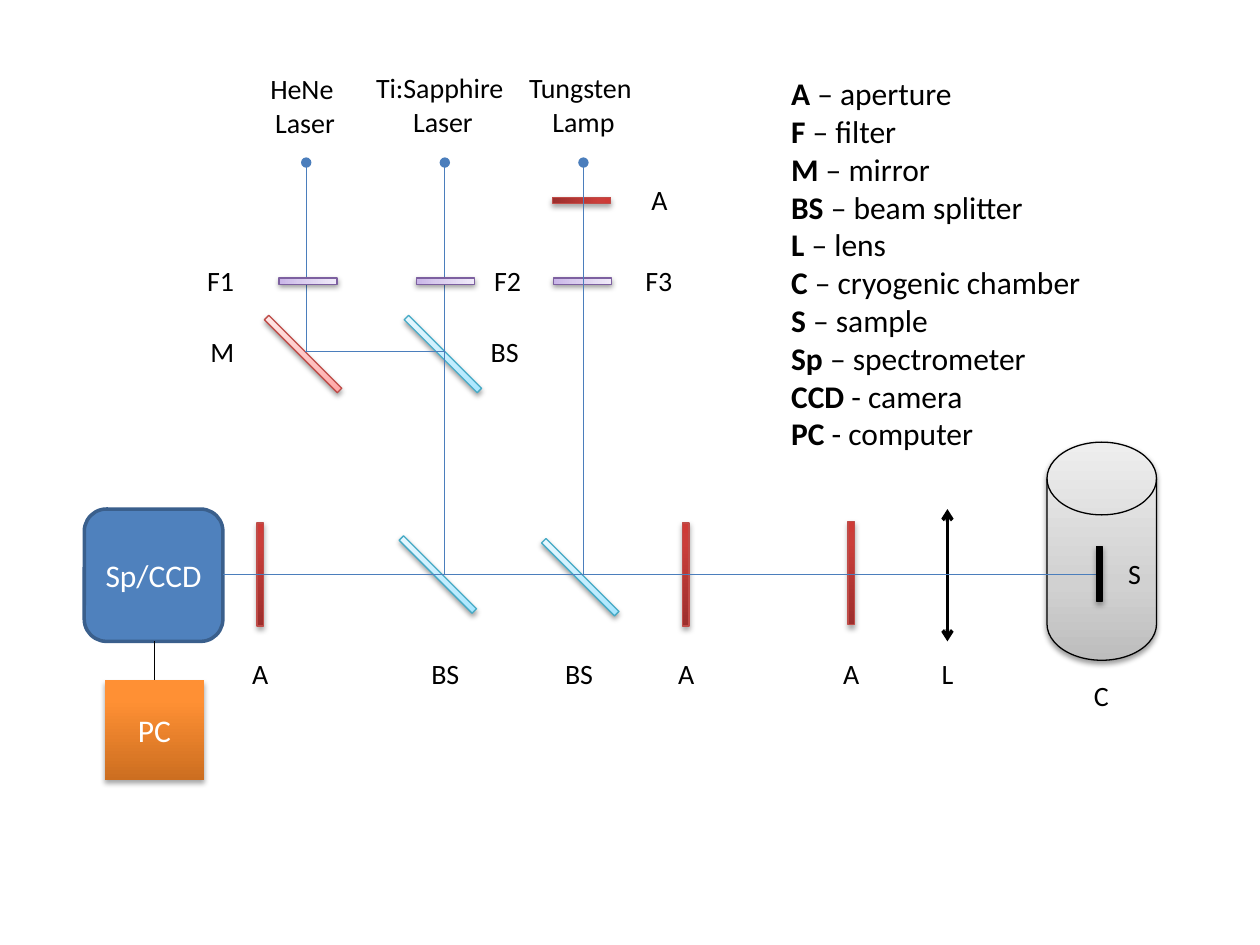
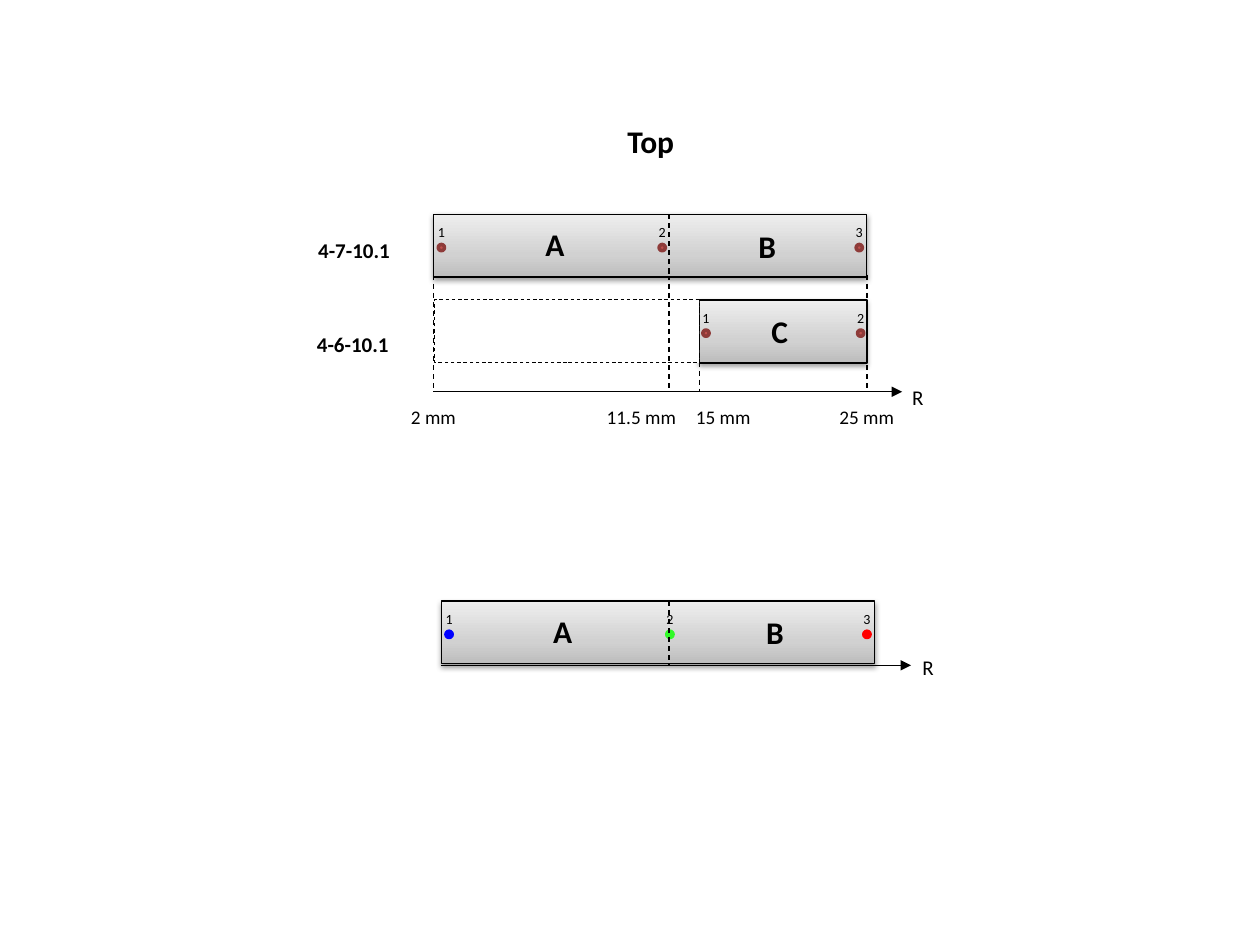
import pptx
import pptx.dml.color
import pptx.enum.dml
import pptx.enum.shapes
import pptx.enum.text
import pptx.oxml.ns
import pptx.util
from lxml import etree

Pt = pptx.util.Pt
qn = pptx.oxml.ns.qn
rgb = pptx.dml.color.RGBColor.from_string
MSO = pptx.enum.shapes.MSO_SHAPE
RECT, OVAL = MSO.RECTANGLE, MSO.OVAL

BLACK, WHITE, BEAM = "000000", "FFFFFF", "4B7EBC"
GREY = [(0, "BDBDBD"), (35, "D1D1D1"), (100, "EEEEEE")]
RED = [(0, "9C2F2D"), (80, "CB3E3A"), (100, "CE3B37")]
ORANGE = [(0, "CC6E20"), (80, "FF9034"), (100, "FF9136")]
CYAN = [(0, "A7E6FF"), (35, "C1EDFF"), (100, "E7F8FF")]
PINK = [(0, "FFA6A5"), (35, "FFC0BF"), (100, "FFE7E7")]
VIOLET = [(0, "C9B5E8"), (35, "D8CBEE"), (100, "F0EAF9")]
STRONG, SOFT = (35, 1.8), (38, 1.6)  # shadow opacity in percent, distance in points

# fill, line colour, line width, shadow
STYLES = {
    "spectrometer": ("4F81BD", "3A5F8C", 2, None),
    "computer": (ORANGE, None, 0, STRONG),
    "aperture": (RED, "BF4C48", 0.75, STRONG),
    "splitter": (CYAN, "46AAC5", 0.75, SOFT),
    "mirror": (PINK, "BF4C48", 0.75, SOFT),
    "filter": (VIOLET, "7D60A0", 0.75, SOFT),
    "grey": (GREY, BLACK, 0.75, SOFT),
    "sample": (BLACK, BLACK, 0.75, STRONG),
    "empty": (WHITE, BLACK, 0.5, None),
    "dot": ("C0504D", "8E3B39", 2, None),
    "blue": ("0000FF", "0000FF", 2, None),
    "green": ("31F927", "31F927", 2, None),
    "red": ("FF0000", "FF0000", 2, None),
}


def box(s, x, y, w, h, kind=None, style=None, text="", size=16, bold=False,
        color=BLACK, spaced=False, shadow=None):
    """Add a styled shape, or a text box if kind is None; spaced text wraps."""
    at = [Pt(v) for v in (x, y, w, h)]
    if kind is None:
        sp = s.shapes.add_textbox(*at)
        sp.text_frame.word_wrap = spaced
        if not spaced:
            sp.text_frame.auto_size = pptx.enum.text.MSO_AUTO_SIZE.SHAPE_TO_FIT_TEXT
    else:
        sp = s.shapes.add_shape(kind, *at)
        fill, line, width, shadow = STYLES[style]
        if isinstance(fill, str):
            sp.fill.solid()
            sp.fill.fore_color.rgb = rgb(fill)
        else:
            sp.fill.gradient()
            sp.fill.gradient_angle = 90
            stops = sp._element.spPr.find(".//" + qn("a:gsLst"))
            for gs in list(stops):
                stops.remove(gs)
            for pos, stop in fill:
                gs = etree.SubElement(stops, qn("a:gs"), pos=str(pos * 1000))
                etree.SubElement(gs, qn("a:srgbClr"), val=stop)
        if line:
            sp.line.color.rgb = rgb(line)
            sp.line.width = Pt(width)
        else:
            sp.line.fill.background()
        sp.shadow.inherit = False
        if shadow:
            alpha, dist = shadow
            effects = sp._element.spPr.find(qn("a:effectLst"))
            outer = etree.SubElement(effects, qn("a:outerShdw"), blurRad=str(Pt(3.1)),
                                     dist=str(Pt(dist)), dir="5400000", rotWithShape="0")
            clr = etree.SubElement(outer, qn("a:srgbClr"), val=BLACK)
            etree.SubElement(clr, qn("a:alpha"), val=str(alpha * 1000))
    if text:
        para = {"alignment": pptx.enum.text.PP_ALIGN.CENTER}
        if spaced:
            para.update(line_spacing=1.15, space_after=Pt(10))
        tf = sp.text_frame
        tf.text = text
        for p in tf.paragraphs:
            for k, v in para.items():
                setattr(p, k, v)
            for r in p.runs:
                for k, v in {"name": "Calibri", "size": Pt(size), "bold": bold}.items():
                    setattr(r.font, k, v)
                r.font.color.rgb = rgb(color)
    return sp


def line(s, x1, y1, x2, y2, color=BLACK, width=0.75, dash=False, head=None, tail=None):
    sp = s.shapes.add_connector(pptx.enum.shapes.MSO_CONNECTOR.STRAIGHT,
                                Pt(x1), Pt(y1), Pt(x2), Pt(y2))
    sp.line.color.rgb = rgb(color)
    sp.line.width = Pt(width)
    if dash:
        sp.line.dash_style = pptx.enum.dml.MSO_LINE.DASH
    ln = sp.line._get_or_add_ln()
    for tag, end in (("a:headEnd", head), ("a:tailEnd", tail)):
        if end:
            etree.SubElement(ln, qn(tag), type=end)
    etree.SubElement(sp._element.spPr, qn("a:effectLst"))


prs = pptx.Presentation()
prs.slide_width, prs.slide_height = Pt(720), Pt(540)

# Slide 1: optical setup
s = prs.slides.add_slide(prs.slide_layouts[6])
box(s, 48.2, 290.9, 79.2, 75.6, MSO.ROUNDED_RECTANGLE, "spectrometer", "Sp/CCD", 18, color=WHITE)
line(s, 541.4, 290.9, 541.4, 366.5, width=2, head="arrow", tail="arrow")
box(s, 598.3, 252.7, 62.6, 124.6, MSO.FLOWCHART_MAGNETIC_DISK, "grey")

# Thin optics by centre, length and rotation; the last two lie above the beams
optics = [
    ("aperture", 148.7, 328.3, 59, 0),
    ("aperture", 392, 328.3, 59, 0),
    ("aperture", 486.4, 327.6, 59, 0),
    ("splitter", 250.2, 328.3, 59, 315),
    ("splitter", 331.6, 329.8, 59, 315),
    ("splitter", 253.1, 202.3, 59, 315),
    ("mirror", 173.2, 202.3, 59, 315),
    ("aperture", 332.3, 114.5, 33.1, 90),
    ("filter", 333, 160.6, 33.1, 90),
    ("filter", 176, 160.6, 33.1, 90),
    ("filter", 254.5, 160.6, 33.1, 90),
]
beams = [
    (254.2, 92.9, 254.2, 328.3, "oval"),
    (127.4, 328.3, 626.4, 328.3, None),
    (175, 92.9, 175, 200.9, "oval"),
    (174.5, 200.9, 254.2, 200.9, None),
    (333.4, 92.9, 333.4, 328.3, "oval"),
]
for i, (style, cx, cy, length, angle) in enumerate(optics):
    if i == len(optics) - 2:
        for *ends, head in beams:
            line(s, *ends, color=BEAM, head=head)
    sp = box(s, cx - 1.8, cy - length / 2, 3.6, length, RECT, style)
    sp.rotation = angle
box(s, 626.4, 312.5, 3.6, 31, RECT, "sample")
box(s, 59.8, 388.8, 56.9, 56.9, RECT, "computer", "PC", 18, color=WHITE)
line(s, 88.2, 366.5, 88.2, 388.8)

sources = [("HeNe\n Laser", 146.2, 37.4, 52.6), ("Ti:Sapphire \nLaser", 207.4, 36.7, 91.4),
           ("Tungsten \nLamp", 294.5, 36.7, 77.8)]
for text, x, y, w in sources:
    box(s, x, y, w, 46, text=text)

labels = [
    ("A", 136.8, 371.5, 23.8), ("BS", 239, 371.5, 31), ("BS", 315.4, 371.5, 31),
    ("A", 380.2, 371.5, 23.8), ("A", 474.5, 371.5, 23.8), ("L", 530.6, 371.5, 21.6),
    ("C", 617.8, 384.5, 23), ("S", 637.2, 314.6, 22.3), ("A", 365, 100.8, 23.8),
    ("F1", 110.9, 146.9, 30.2), ("F2", 275, 146.9, 30.2), ("F3", 361.4, 146.9, 30.2),
    ("M", 113, 187.9, 28.1), ("BS", 272.9, 187.9, 31),
]
for text, x, y, w in labels:
    box(s, x, y, w, 26.6, text=text)

legend = {"A": " – aperture", "F": " – filter", "M": " – mirror", "BS": " – beam splitter",
          "L": " – lens", "C": " – cryogenic chamber", "S": " – sample",
          "Sp": " – spectrometer", "CCD": " - camera", "PC": " - computer"}
sp = box(s, 445, 38.9, 182.2, 225.4, text="\n".join(legend), size=18, bold=True)
for p, meaning in zip(sp.text_frame.paragraphs, legend.values()):
    p.alignment = pptx.enum.text.PP_ALIGN.LEFT
    r = p.add_run()
    r.text = meaning
    for k, v in {"name": "Calibri", "size": Pt(18), "bold": False}.items():
        setattr(r.font, k, v)
    r.font.color.rgb = rgb(BLACK)

# Slide 2: sample strips along the radius
s = prs.slides.add_slide(prs.slide_layouts[6])
box(s, 351.4, 66.2, 41, 28.8, text="Top", size=18, bold=True)
box(s, 399.6, 171.4, 95.8, 36, RECT, "grey")
line(s, 247.7, 223.9, 515.5, 223.9, tail="triangle")
for x in (247.7, 495.4):
    line(s, x, 157, x, 223.9, dash=True)
sp = box(s, 248.4, 171.4, 151.2, 36, RECT, "empty")
sp.line.dash_style = pptx.enum.dml.MSO_LINE.DASH
line(s, 382.3, 157, 382.3, 223.9, dash=True)
line(s, 399.6, 175.7, 399.6, 223.9, dash=True)
box(s, 433.4, 175, 24.5, 28.8, text="C", size=18, bold=True)
for number, x in (("1", 403.4), ("2", 491.8)):
    box(s, x - 15.1, 172.1, 30.2, 15.8, text=number, size=8, spaced=True)
    box(s, x - 1.8, 188.6, 3.6, 3.6, OVAL, "dot")

# The two A/B strips differ in offset and dot colours
lower = s.shapes.add_group_shape()
for parent, dx, dy, dots in ((s, 0, 0, ["dot"] * 3), (lower, 4.4, 221, ["blue", "green", "red"])):
    box(parent, 247.7 + dx, 122.4 + dy, 247.7, 36, RECT, "grey")
    for i, (x, style) in enumerate(zip((252.2, 378.4, 491), dots), 1):
        box(parent, x - 1.8 + dx, 139.7 + dy, 3.6, 3.6, OVAL, style)
        box(parent, x - 15.1 + dx, 122.9 + dy, 30.2, 15.8, text=str(i), size=8, spaced=True)
    line(parent, 382.3, 122.4 + dy, 382.3, 159 + dy, dash=True)
    for letter, x, y in (("A", 304.6, 125.3), ("B", 426, 126)):
        box(parent, x + dx, y + dy, 25, 28.8, text=letter, size=18, bold=True)
line(lower, 252, 380.2, 520.6, 380.2, tail="triangle")

for parent, x, y in ((s, 507.6, 213.8), (lower, 513.4, 368.6)):
    box(parent, x, y, 33.8, 23, text="R", size=12, spaced=True)
for text, x, y in (("4-7-10.1", 169.2, 130.3), ("4-6-10.1", 168.5, 183.6)):
    box(s, x, y, 66.2, 23, text=text, size=12, bold=True, spaced=True)
for text, x in (("2 mm", 214.6), ("11.5 mm", 333.4), ("15 mm", 380.2), ("25 mm", 462.2)):
    box(s, x, 226.1, 66.2, 23, text=text, size=11, spaced=True)

prs.save("out.pptx")
